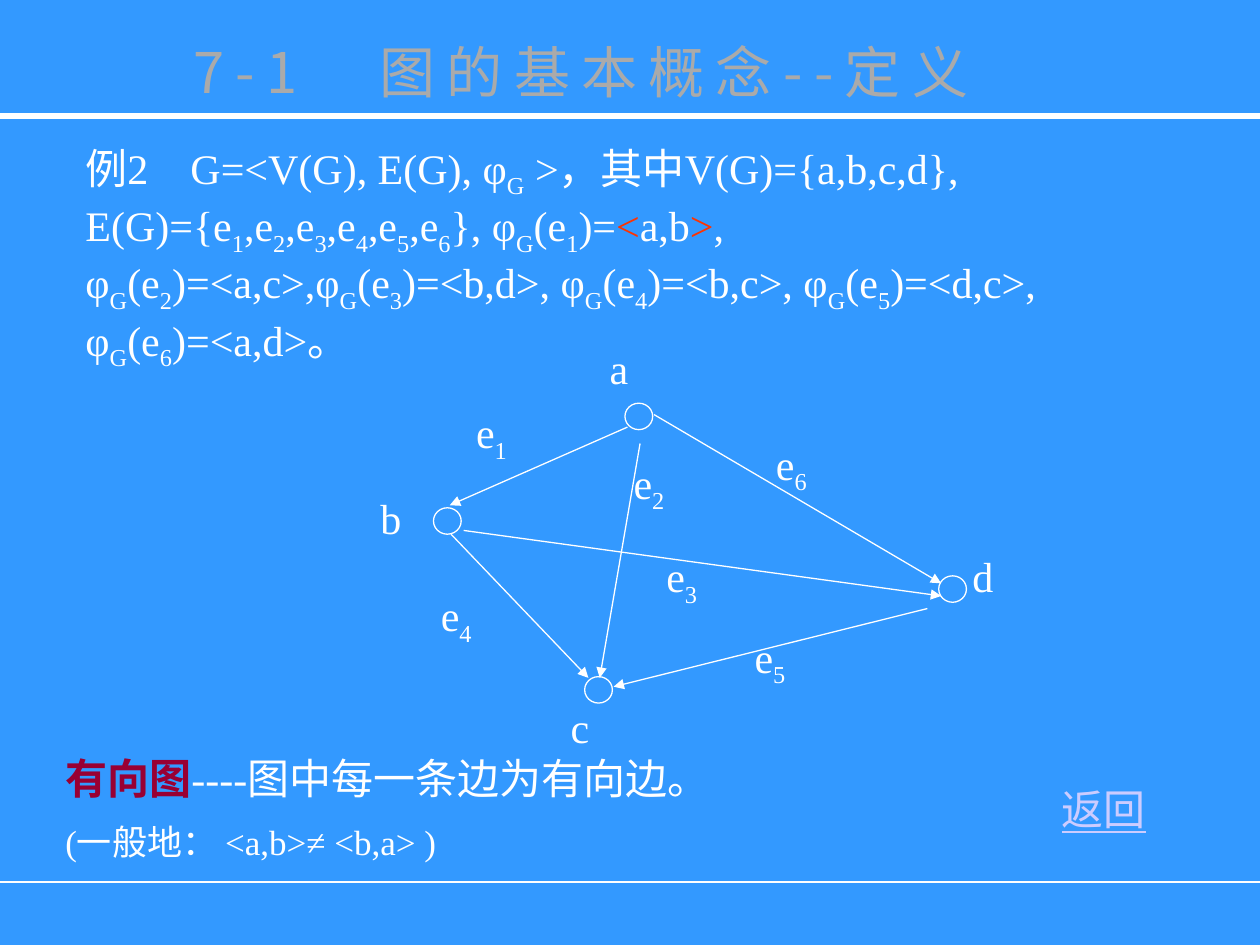
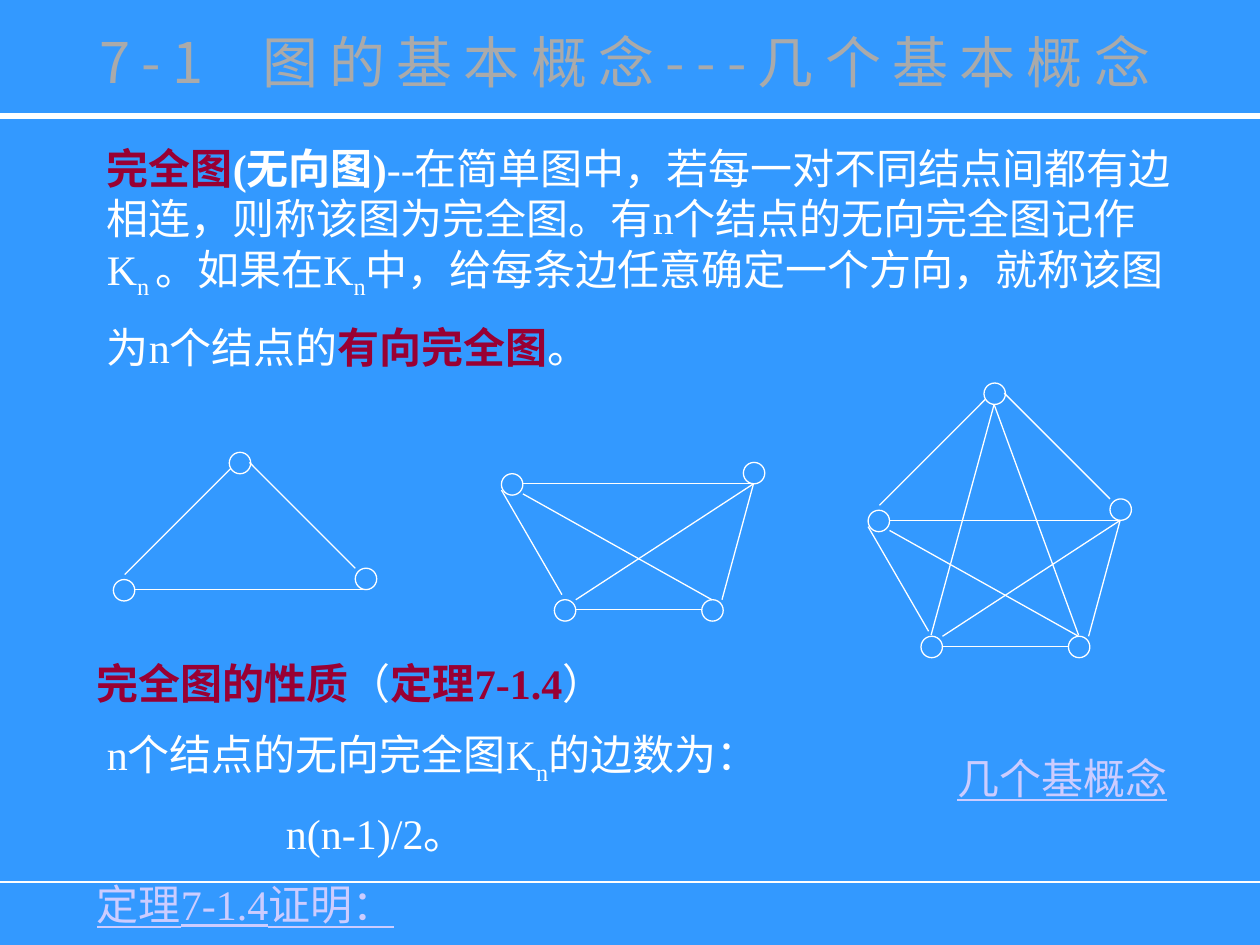
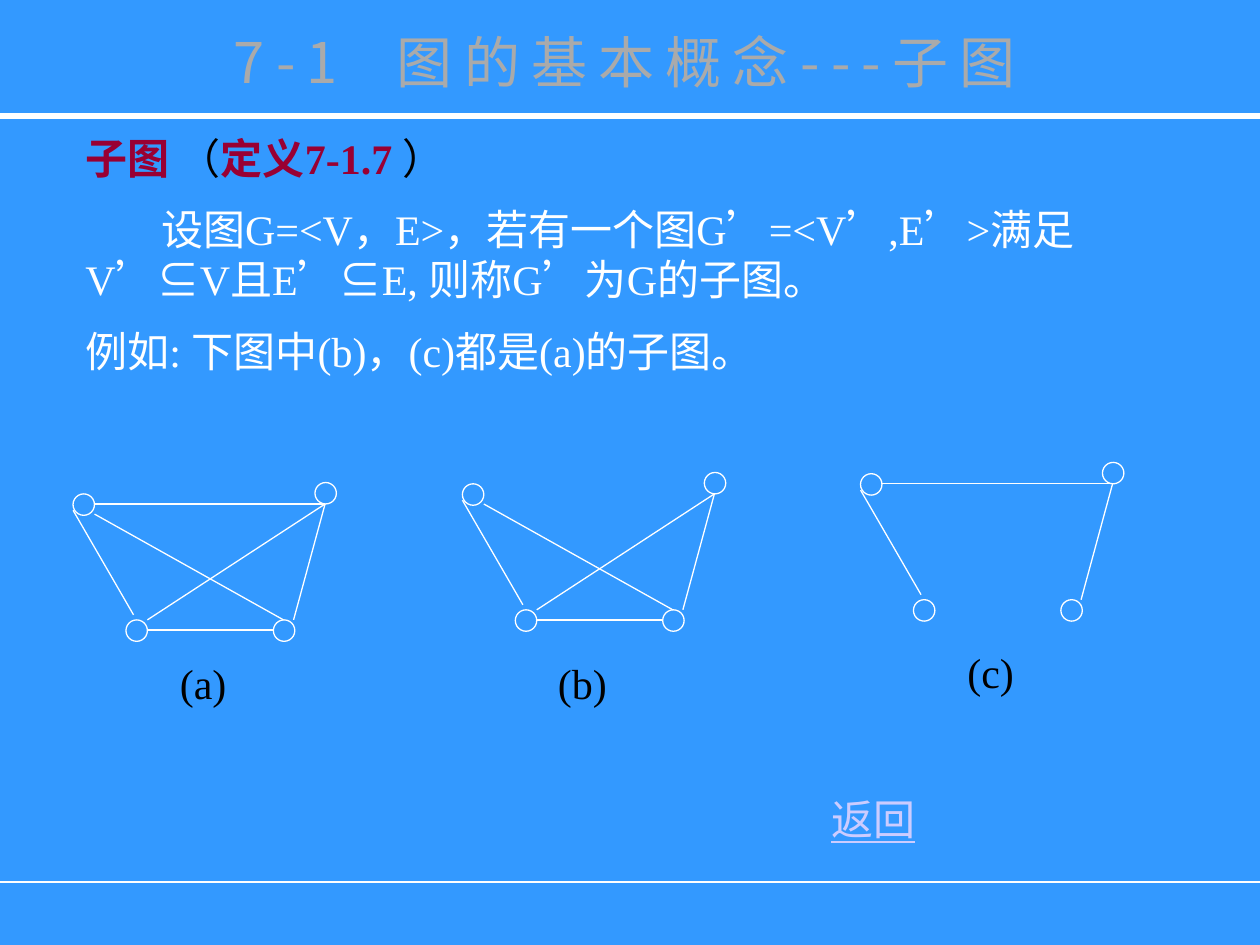
from dataclasses import dataclass

from lxml.etree import SubElement
from pptx import Presentation
from pptx.dml.color import RGBColor
from pptx.enum.dml import MSO_LINE
from pptx.enum.shapes import MSO_CONNECTOR, MSO_SHAPE
from pptx.enum.text import MSO_AUTO_SIZE, PP_ALIGN
from pptx.oxml.ns import qn
from pptx.util import Inches, Pt

BLUE = RGBColor(0x33, 0x99, 0xFF)
WHITE = RGBColor(0xFF, 0xFF, 0xFF)
BLACK = RGBColor(0x00, 0x00, 0x00)
GRAY = RGBColor(0xAA, 0xAA, 0xAA)
CRIMSON = RGBColor(0x99, 0x00, 0x33)
RED = RGBColor(0xFF, 0x33, 0x00)
LAVENDER = RGBColor(0xCC, 0xCC, 0xFF)

LATIN_FONT = "Times New Roman"
CHINESE_FONT = "Noto Sans CJK SC"
TITLE_TRACKING = 6.4
TITLE_WIDTH = 9.1
NODE_SIZE = 0.17

NODES = {
    "left": (0, 0.09),
    "right": (1.92, 0),
    "bottom left": (0.42, 1.09),
    "bottom right": (1.59, 1.09),
    "apex": (0.92, -0.92),
}
EDGES = {
    "left side": ((0, 0.22), (0.48, 1.05)),
    "base": ((0.59, 1.17), (1.59, 1.17)),
    "right side": ((1.75, 1.09), (2, 0.17)),
    "top": ((0.17, 0.17), (2, 0.17)),
    "falling": ((0.17, 0.25), (1.67, 1.09)),
    "rising": ((0.59, 1.09), (2, 0.17)),
    "left roof": ((0.93, -0.79), (0.09, 0.05)),
    "right roof": ((1.08, -0.84), (1.92, 0)),
    "left stay": ((1, -0.75), (0.5, 1.08)),
    "right stay": ((1, -0.75), (1.67, 1.08)),
}
QUAD_NODES = ["left", "right", "bottom left", "bottom right"]
QUAD_EDGES = ["left side", "base", "right side", "top", "falling", "rising"]


@dataclass
class Span:
    """A stretch of text in one style; an underscore lowers the next character."""

    text: str
    color: RGBColor = WHITE
    bold: bool = False
    underline: bool = False
    size: float = 24
    font: str = LATIN_FONT
    tracking: float = 0


@dataclass
class Line:
    """A paragraph of spans with a first-line indent in inches."""

    spans: list
    indent: float = 0


def add_run(paragraph, text, span, lowered=False):
    """Append one formatted run."""
    run = paragraph.add_run()
    run.text = text
    font = run.font
    font.name, font.size = span.font, Pt(span.size)
    font.bold, font.underline = span.bold, span.underline
    font.color.rgb = span.color
    properties = run._r.get_or_add_rPr()
    SubElement(properties, qn("a:ea")).set("typeface", CHINESE_FONT)
    if span.tracking:
        properties.set("spc", str(round(span.tracking * 100)))
    if lowered:
        properties.set("baseline", "-25000")
    return run


def add_span(paragraph, span):
    """Append a span, lowering the characters that follow underscores."""
    first, *rest = span.text.split("_")
    if first:
        add_run(paragraph, first, span)
    for piece in rest:
        add_run(paragraph, piece[0], span, lowered=True)
        if piece[1:]:
            add_run(paragraph, piece[1:], span)


def add_text(slide, left, top, width, height, *lines):
    """Add a wrapping text box with one paragraph per line."""
    box = slide.shapes.add_textbox(Inches(left), Inches(top), Inches(width), Inches(height))
    frame = box.text_frame
    frame.word_wrap = True
    frame.auto_size = MSO_AUTO_SIZE.SHAPE_TO_FIT_TEXT
    for index, line in enumerate(lines):
        paragraph = frame.add_paragraph() if index else frame.paragraphs[0]
        if index:
            paragraph.space_before = Pt(line.spans[0].size / 2)
        if line.indent:
            paragraph._p.get_or_add_pPr().set("indent", str(Inches(line.indent)))
        for span in line.spans:
            add_span(paragraph, span)


def add_label(slide, left, top, width, text, color=WHITE, underline=False):
    """Add a short one-line label."""
    add_text(slide, left, top, width, 0.5, Line([Span(text, color, underline=underline)]))


def add_title(slide, center, top, subject, gap):
    """Add the tracked gradient title with a gap after the section number."""
    box = slide.shapes.add_textbox(
        Inches(center - TITLE_WIDTH / 2), Inches(top), Inches(TITLE_WIDTH), Inches(0.75)
    )
    box.text_frame.word_wrap = True
    paragraph = box.text_frame.paragraphs[0]
    paragraph.alignment = PP_ALIGN.CENTER
    for text, tracking in (("7-1", TITLE_TRACKING), (" ", gap), (subject, TITLE_TRACKING)):
        span = Span(text, GRAY, size=32, font=CHINESE_FONT, tracking=tracking)
        fill = add_run(paragraph, text, span).font.fill
        fill.gradient()
        fill.gradient_angle = 270
        for stop, color in zip(fill.gradient_stops, (GRAY, WHITE)):
            stop.color.rgb = color


def add_line(slide, start, end, width=0.75, arrow=False):
    """Add a white straight line, optionally with an arrowhead at its end."""
    points = [Inches(value) for value in (*start, *end)]
    line = slide.shapes.add_connector(MSO_CONNECTOR.STRAIGHT, *points)
    line.line.color.rgb = WHITE
    line.line.width = Pt(width)
    line.line.dash_style = MSO_LINE.SOLID
    if arrow:
        SubElement(line.line._get_or_add_ln(), qn("a:tailEnd")).set("type", "triangle")
    SubElement(line._element.spPr, qn("a:effectLst"))


def add_node(slide, left, top, width=NODE_SIZE, height=NODE_SIZE):
    """Add a hollow graph node."""
    node = slide.shapes.add_shape(
        MSO_SHAPE.OVAL, Inches(left), Inches(top), Inches(width), Inches(height)
    )
    node.shadow.inherit = False
    node.fill.background()
    node.line.color.rgb = WHITE
    node.line.width = Pt(0.75)


def add_graph(slide, left, top, nodes, edges):
    """Add an undirected graph from named nodes and edges."""
    for name in nodes:
        x, y = NODES[name]
        add_node(slide, left + x, top + y)
    for name in edges:
        start, end = [(left + x, top + y) for x, y in EDGES[name]]
        add_line(slide, start, end)


def add_slide(presentation):
    """Add a blue slide with its header and footer rules."""
    slide = presentation.slides.add_slide(presentation.slide_layouts[6])
    slide.background.fill.solid()
    slide.background.fill.fore_color.rgb = BLUE
    add_line(slide, (0, 0.92), (10, 0.92), width=3)
    add_line(slide, (0, 7), (10, 7))
    return slide


def add_directed_graph(slide):
    """Draw the directed graph with vertices a to d and edges e1 to e6."""
    for left, top in ((4.96, 3.2), (3.44, 4.03), (4.64, 5.37), (7.45, 4.57)):
        add_node(slide, left, top, 0.22, 0.21)
    vertices = {"a": (4.74, 2.67), "b": (2.92, 3.86), "c": (4.43, 5.52), "d": (7.62, 4.32)}
    for name, (left, top) in vertices.items():
        add_label(slide, left, top, 0.54, name)
    edges = [
        ((4.98, 3.39), (3.57, 4.01), (3.68, 3.18)),
        ((5.08, 3.52), (4.76, 5.38), (4.93, 3.58)),
        ((3.68, 4.21), (7.47, 4.73), (5.19, 4.32)),
        ((3.58, 4.24), (4.67, 5.38), (3.4, 4.63)),
        ((7.36, 4.83), (4.87, 5.45), (5.89, 4.96)),
        ((5.19, 3.29), (7.47, 4.63), (6.06, 3.43)),
    ]
    for number, (start, end, label) in enumerate(edges, 1):
        add_line(slide, start, end, arrow=True)
        add_label(slide, *label, 0.76, f"e_{number}")


def build_definition(presentation):
    """Build the slide that defines directed graphs by example."""
    slide = add_slide(presentation)
    add_text(slide, 0.58, 1.08, 9, 1.7, Line([
        Span("例2"),
        Span(" ", tracking=18),
        Span("G=<V(G), E(G), φ_G >，其中V(G)={a,b,c,d}, "
             "E(G)={e_1,e_2,e_3,e_4,e_5,e_6}, φ_G(e_1)="),
        Span("<", RED),
        Span("a,b"),
        Span(">", RED),
        Span(", φ_G(e_2)=<a,c>,φ_G(e_3)=<b,d>, φ_G(e_4)=<b,c>, "
             "φ_G(e_5)=<d,c>, φ_G(e_6)=<a,d>。"),
    ]))
    add_directed_graph(slide)
    add_label(slide, 8.33, 6.17, 1.08, "返回", LAVENDER, underline=True)
    add_text(
        slide, 0.42, 5.92, 5.69, 1,
        Line([Span("有向图", CRIMSON, bold=True), Span("----图中每一条边为有向边。")]),
        Line([Span("(一般地： <a,b>≠ <b,a> )", size=20)]),
    )
    add_title(slide, 4.61, 0.25, "图的基本概念--定义", gap=33.4)


def build_complete_graphs(presentation):
    """Build the slide on complete graphs."""
    slide = add_slide(presentation)
    add_text(
        slide, 0.75, 1.08, 8.67, 1.9,
        Line([
            Span("完全图", CRIMSON, bold=True),
            Span("(无向图)", bold=True),
            Span("--在简单图中，若每一对不同结点间都有边相连，则称该图为完全图。"
                 "有n个结点的无向完全图记作K_n_ 。如果在K_n中，"
                 "给每条边任意确定一个方向，就称该图"),
        ]),
        Line([Span("为n个结点的"), Span("有向完全图", CRIMSON, bold=True), Span("。")]),
    )
    roof = ["left roof", "right roof"]
    add_graph(slide, 6.89, 3.96, NODES, EDGES)
    add_graph(slide, 0.9, 4.51, ["apex", "left", "right"], roof + ["top"])
    add_graph(slide, 3.98, 3.67, QUAD_NODES, QUAD_EDGES)
    add_title(slide, 4.96, 0.17, "图的基本概念---几个基本概念", gap=20)
    add_label(slide, 7.5, 5.92, 2.33, "几个基概念", LAVENDER, underline=True)
    add_text(
        slide, 0.67, 5.17, 6.75, 2.3,
        Line([
            Span("完全图的性质", CRIMSON, bold=True),
            Span("（"),
            Span("定理7-1.4", CRIMSON, bold=True),
            Span("）"),
        ]),
        Line([Span("n个结点的无向完全图K_n的边数为：")], indent=0.08),
        Line([Span("n(n-1)/2。")], indent=1.5),
        Line([Span("定理7-1.4证明：", LAVENDER, underline=True)]),
    )


def build_subgraphs(presentation):
    """Build the slide on subgraphs."""
    slide = add_slide(presentation)
    add_text(
        slide, 0.58, 1, 8.75, 2.1,
        Line([
            Span("子图", CRIMSON, bold=True),
            Span(" （", BLACK),
            Span("定义7-1.7 ", CRIMSON, bold=True),
            Span("）", BLACK),
        ]),
        Line([
            Span("设图G=<V，E>，若有一个图G’=<V’,E’>满足V’"),
            Span("⊆", font=CHINESE_FONT),
            Span("V且E’"),
            Span("⊆", font=CHINESE_FONT),
            Span("E, 则称G’为G的子图。"),
        ], indent=0.6),
        Line([Span("例如: 下图中(b)，(c)都是(a)的子图。")]),
    )
    graphs = [
        ("(a)", 0.58, 3.83, (1.33, 5.17), QUAD_EDGES),
        ("(b)", 3.67, 3.75, (4.33, 5.17), [name for name in QUAD_EDGES if name != "top"]),
        ("(c)", 6.83, 3.67, (7.58, 5.08), ["left side", "right side", "top"]),
    ]
    for caption, left, top, caption_place, edges in graphs:
        add_graph(slide, left, top, QUAD_NODES, edges)
        add_label(slide, *caption_place, 0.67, caption, BLACK)
    add_title(slide, 4.96, 0.17, "图的基本概念---子图", gap=20)
    add_label(slide, 6.5, 6.25, 0.92, "返回", LAVENDER, underline=True)


def main():
    """Build and save the three slides."""
    presentation = Presentation()
    presentation.slide_width = Inches(10)
    presentation.slide_height = Inches(7.5)
    build_definition(presentation)
    build_complete_graphs(presentation)
    build_subgraphs(presentation)
    presentation.save("out.pptx")


if __name__ == "__main__":
    main()
